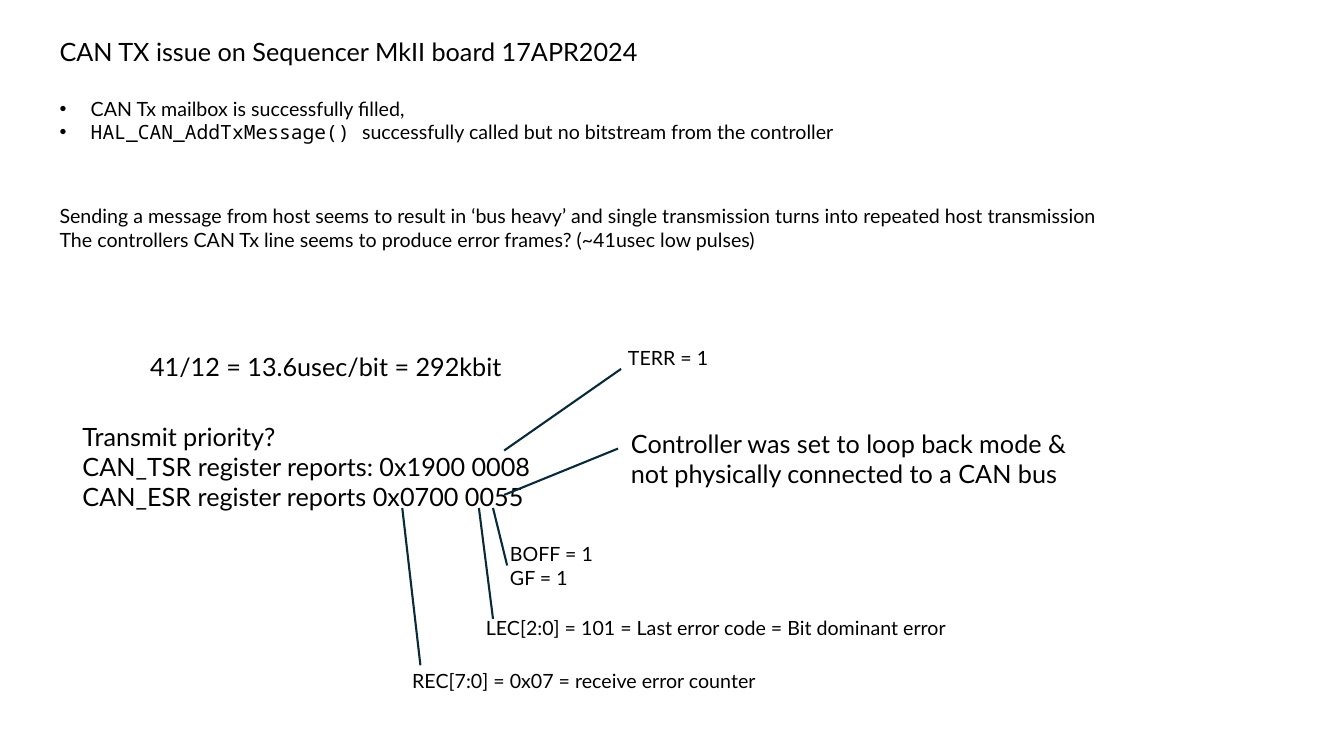
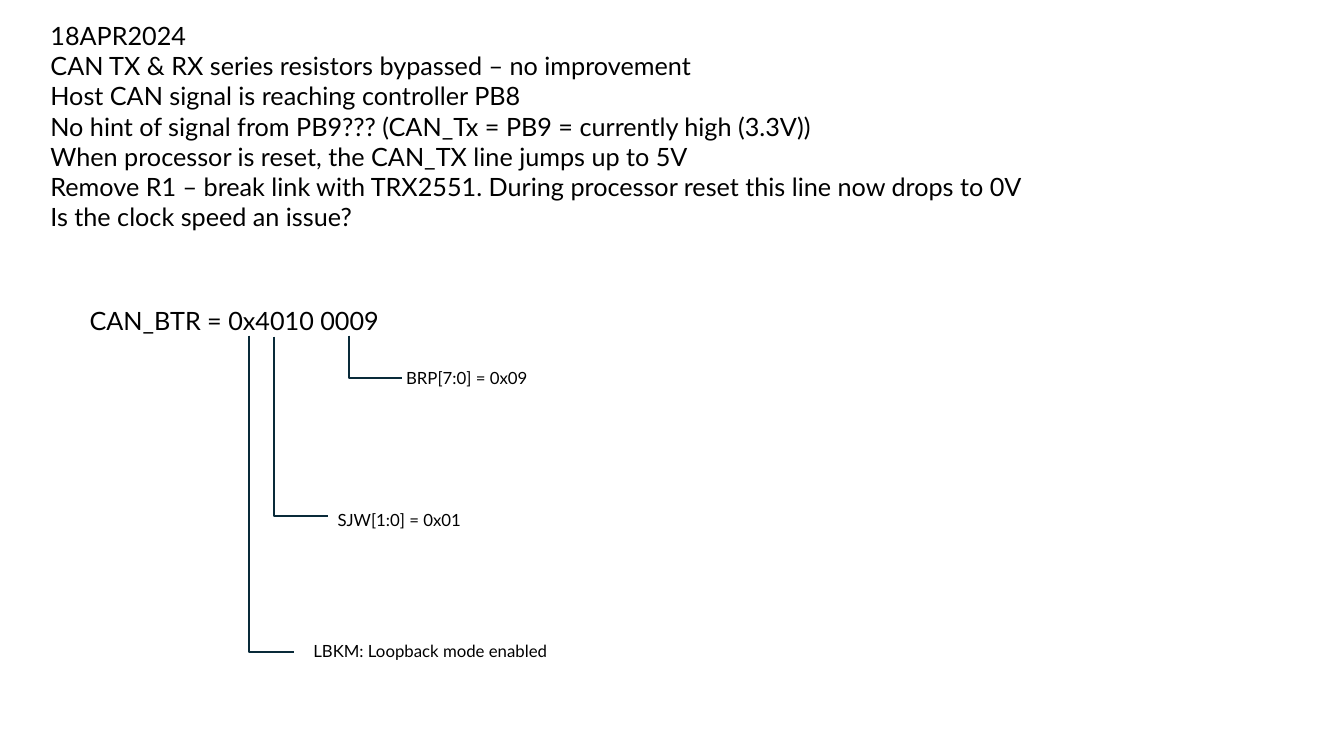
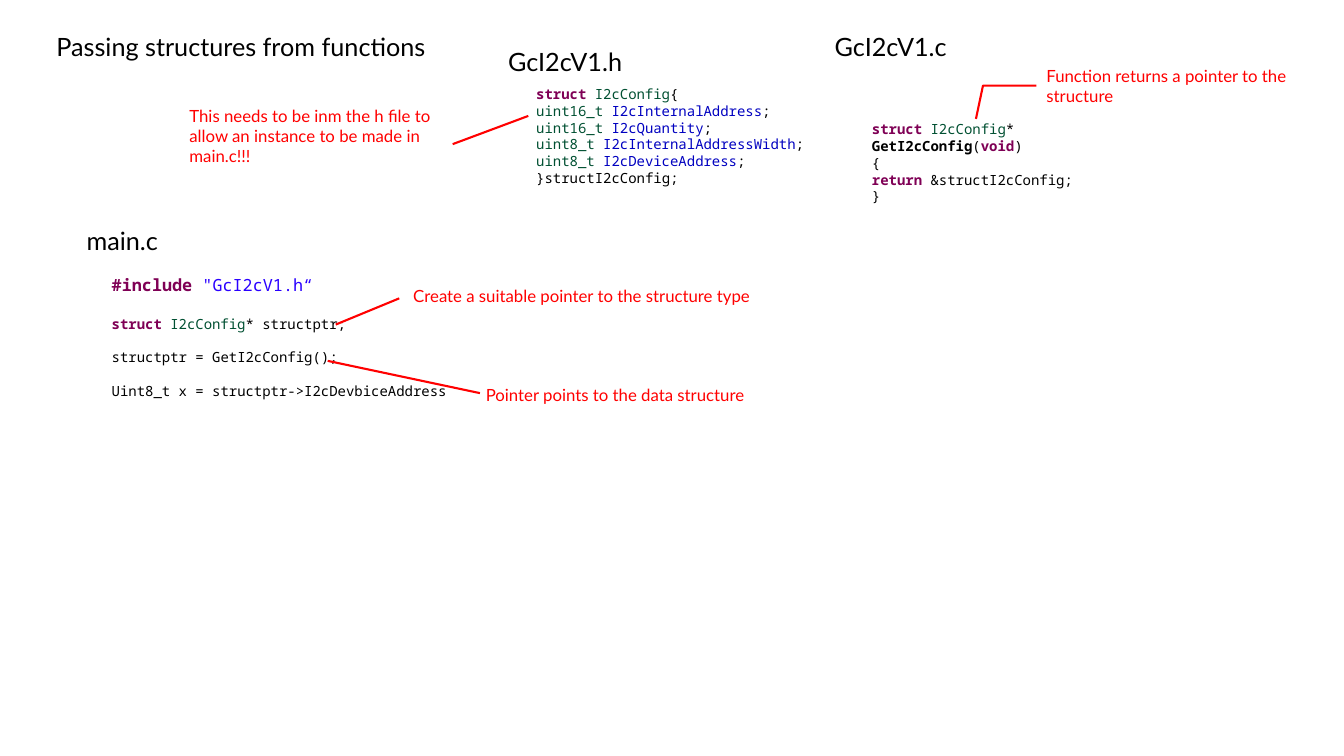
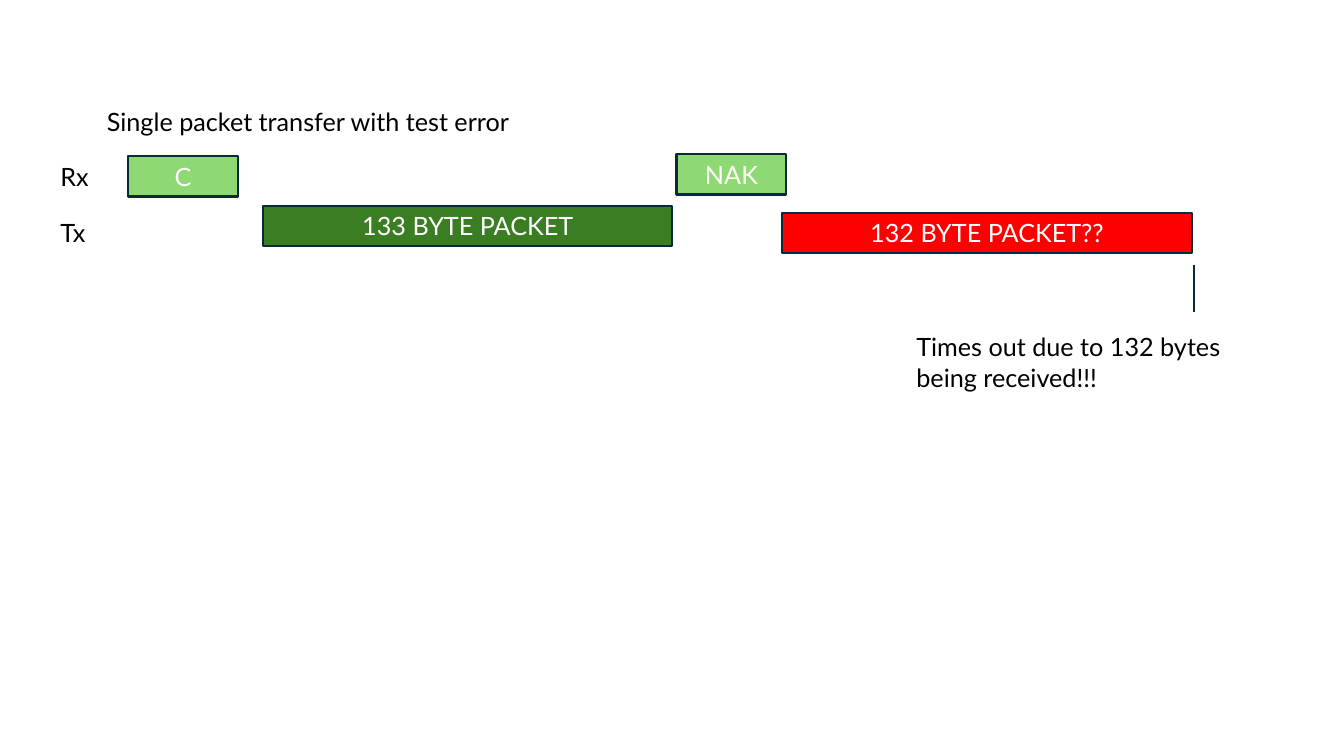
from lxml.etree import SubElement
from pptx import Presentation
from pptx.dml.color import RGBColor
from pptx.enum.shapes import MSO_CONNECTOR, MSO_SHAPE
from pptx.enum.text import MSO_ANCHOR, MSO_AUTO_SIZE, PP_ALIGN
from pptx.oxml.ns import qn
from pptx.util import Inches, Pt

BLACK, WHITE, RED, NAVY = "000000", "FFFFFF", "FF0000", "092A39"
LIGHT_GREEN, DARK_GREEN = "8ED973", "3B7D23"
KEYWORD, TYPE, FIELD, STRING = "7F0055", "005032", "0000C0", "2A00FF"
SANS, MONO = "Lato", "Noto Sans Mono"


def write(frame, lines, size, color=BLACK, font=SANS):
    frame.word_wrap = True
    frame.auto_size = MSO_AUTO_SIZE.NONE
    frame.vertical_anchor = MSO_ANCHOR.TOP
    for index, line in enumerate(lines):
        para = frame.add_paragraph() if index else frame.paragraphs[0]
        para.alignment = PP_ALIGN.LEFT
        para.space_before = Pt(0)
        if font == MONO:
            para.line_spacing = Pt(1.2 * size)
        spans = [(line, color, False)] if isinstance(line, str) else line
        for text, span_color, bold in spans:
            span = para.add_run()
            span.text = text
            span.font.name = font
            span.font.size = Pt(size)
            span.font.bold = bold
            span.font.color.rgb = RGBColor.from_string(span_color)


def draw_leader(slide, points, color=NAVY):
    corners = [(Inches(x), Inches(y)) for x, y in points]
    if len(corners) == 2:
        leader = slide.shapes.add_connector(MSO_CONNECTOR.STRAIGHT, *corners[0], *corners[1])
    else:
        builder = slide.shapes.build_freeform(*corners[0])
        builder.add_line_segments(corners[1:], close=False)
        leader = builder.convert_to_shape()
        leader.fill.background()
    leader.line.color.rgb = RGBColor.from_string(color)
    leader.line.width = Pt(1.5)
    SubElement(leader._element.spPr, qn("a:effectLst"))


deck = Presentation()
deck.slide_width, deck.slide_height = Inches(13.33), Inches(7.5)

titles = [
    ("CAN TX issue on Sequencer MkII board 17APR2024", 1, 0.49, 0.31, 11.49),
    ("18APR2024", 1, 0.4, 0.15, 10.88),
    ("Passing structures from functions", 5, 0.46, 0.26, 4.4),
    ("Single packet transfer with test error", 5, 0.96, 1, 5.86),
]
pages = []
for text, layout, left, top, width in titles:
    page = deck.slides.add_slide(deck.slide_layouts[layout])
    title = page.shapes.title
    title.left, title.top = Inches(left), Inches(top)
    title.width, title.height = Inches(width), Inches(0.4)
    write(title.text_frame, [text], 18)
    pages.append(page)
transmit_page, timing_page, structure_page, packet_page = pages

bodies = [
    (transmit_page, 0.49, 0.91, 11.49, 1.66, 14, 2, [
        "CAN Tx mailbox is successfully filled,",
        [("HAL_CAN_AddTxMessage() ", BLACK, False),
         ("successfully called but no bitstream from the controller", BLACK, False)],
        "Sending a message from host seems to result in ‘bus heavy’ and single transmission turns into repeated host transmission",
        "The controllers CAN Tx line seems to produce error frames? (~41usec low pulses)",
    ]),
    (timing_page, 0.4, 0.45, 10.88, 1.92, 18, 0, [
        "CAN TX & RX series resistors bypassed – no improvement",
        "Host CAN signal is reaching controller PB8",
        "No hint of signal from PB9??? (CAN_Tx = PB9 = currently high (3.3V))",
        "When processor is reset, the CAN_TX line jumps up to 5V",
        "Remove R1 – break link with TRX2551. During processor reset this line now drops to 0V",
        "Is the clock speed an issue?",
    ]),
]
for page, left, top, width, height, size, bullets, lines in bodies:
    body = page.placeholders[1]
    body.left, body.top = Inches(left), Inches(top)
    body.width, body.height = Inches(width), Inches(height)
    write(body.text_frame, lines, size)
    for index, para in enumerate(body.text_frame.paragraphs):
        properties = para._p.get_or_add_pPr()
        indent = Inches(0.31) if index < bullets else 0
        properties.set("marL", str(indent))
        properties.set("indent", str(-indent))
        if index >= bullets:
            SubElement(properties, qn("a:buNone"))

call_para, report_para = transmit_page.placeholders[1].text_frame.paragraphs[1:3]
call_para.line_spacing = Pt(16.8)
call_para.runs[0].font.name = MONO
report_para.space_before = Pt(43.2)

labels = [
    (transmit_page, 1.39, 3.44, 5.2, 0.4, 18, BLACK, ["41/12 = 13.6usec/bit = 292kbit"]),
    (transmit_page, 0.72, 4.13, 4.84, 1.01, 18, BLACK, [
        "Transmit priority?",
        "CAN_TSR register reports: 0x1900 0008",
        "CAN_ESR register reports 0x0700 0055"]),
    (transmit_page, 4.72, 6.06, 4.84, 0.34, 14, BLACK,
     ["LEC[2:0] = 101 = Last error code = Bit dominant error"]),
    (transmit_page, 4.96, 5.33, 2.67, 0.57, 14, BLACK, ["BOFF = 1", "GF = 1"]),
    (transmit_page, 3.99, 6.59, 4.84, 0.34, 14, BLACK, ["REC[7:0] = 0x07 = receive error counter"]),
    (transmit_page, 6.16, 4.2, 4.67, 0.71, 18, BLACK,
     ["Controller was set to loop back mode & not physically connected to a CAN bus"]),
    (transmit_page, 6.13, 3.38, 2.67, 0.34, 14, BLACK, ["TERR = 1"]),
    (timing_page, 0.79, 2.98, 5.56, 0.4, 18, BLACK, ["CAN_BTR = 0x4010 0009"]),
    (timing_page, 3.01, 6.31, 4.07, 0.3, 12, BLACK, ["LBKM: Loopback mode enabled"]),
    (timing_page, 3.25, 5.01, 4.07, 0.3, 12, BLACK, ["SJW[1:0] = 0x01"]),
    (timing_page, 3.93, 3.6, 4.07, 0.3, 12, BLACK, ["BRP[7:0] = 0x09"]),
    (structure_page, 4.94, 0.41, 1.75, 0.4, 18, BLACK, ["GcI2cV1.h"]),
    (structure_page, 8.18, 0.26, 1.75, 0.4, 18, BLACK, ["GcI2cV1.c"]),
    (structure_page, 0.76, 2.19, 1.75, 0.4, 18, BLACK, ["main.c"]),
    (structure_page, 10.28, 0.6, 2.71, 0.5, 12, RED, ["Function returns a pointer to the structure"]),
    (structure_page, 4, 2.79, 3.68, 0.3, 12, RED, ["Create a suitable pointer to the structure type"]),
    (structure_page, 4.72, 3.77, 3.68, 0.3, 12, RED, ["Pointer points to the data structure"]),
    (structure_page, 1.78, 1, 2.98, 0.5, 12, RED,
     ["This needs to be inm the h file to allow an instance to be made in main.c!!!"]),
    (packet_page, 0.5, 1.55, 0.77, 0.4, 18, BLACK, ["Rx"]),
    (packet_page, 0.5, 2.11, 0.77, 0.4, 18, BLACK, ["Tx"]),
    (packet_page, 8.99, 3.24, 3.41, 0.71, 18, BLACK, ["Times out due to 132 bytes being received!!!"]),
]
for page, left, top, width, height, size, color, lines in labels:
    box = page.shapes.add_textbox(Inches(left), Inches(top), Inches(width), Inches(height))
    write(box.text_frame, lines, size, color)

struct_start = [("struct", KEYWORD, True), (" ", BLACK, False), ("I2cConfig", TYPE, False)]
members = [
    ("uint16_t", "I2cInternalAddress"),
    ("uint16_t", "I2cQuantity"),
    ("uint8_t", "I2cInternalAddressWidth"),
    ("uint8_t", "I2cDeviceAddress"),
]
header_code = [struct_start + [("{", BLACK, False)]]
for kind, name in members:
    header_code.append([(kind, TYPE, False), (" ", BLACK, False), (name, FIELD, False), (";", BLACK, False)])
header_code.append("}structI2cConfig;")
source_code = [
    struct_start + [("* ", BLACK, False), ("GetI2cConfig", BLACK, True), ("(", BLACK, False),
                    ("void", KEYWORD, True), (")", BLACK, False)],
    "{",
    [("return", KEYWORD, True), (" &structI2cConfig;", BLACK, False)],
    "}",
]
main_code = [
    [("#include", KEYWORD, True), (" ", BLACK, False), ("\"GcI2cV1.h“", STRING, False)],
    struct_start + [("* structptr;", BLACK, False)],
    "structptr = GetI2cConfig();",
    "Uint8_t x = structptr->I2cDevbiceAddress",
]
listings = [
    (5.22, 0.8, 3.2, 1.11, header_code),
    (8.55, 1.15, 2.98, 0.77, source_code),
    (1.01, 2.68, 4.8, 1.35, main_code),
]
for left, top, width, height, lines in listings:
    box = structure_page.shapes.add_textbox(Inches(left), Inches(top), Inches(width), Inches(height))
    write(box.text_frame, lines, 10, BLACK, MONO)

include_para, *statement_paras = box.text_frame.paragraphs
include_para.line_spacing = Pt(14.4)
for span in include_para.runs:
    span.font.size = Pt(12)
for para, gap in zip(statement_paras, (14.4, 12, 12)):
    para.space_before = Pt(gap)

packets = [
    ("C", 1.27, 1.55, 1.09, LIGHT_GREEN),
    ("133 BYTE PACKET", 2.61, 2.04, 4.06, DARK_GREEN),
    ("NAK", 6.71, 1.53, 1.09, LIGHT_GREEN),
    ("132 BYTE PACKET??", 7.76, 2.11, 4.06, RED),
]
for text, left, top, width, color in packets:
    packet = packet_page.shapes.add_shape(
        MSO_SHAPE.RECTANGLE, Inches(left), Inches(top), Inches(width), Inches(0.4))
    packet.shadow.inherit = False
    packet.fill.solid()
    packet.fill.fore_color.rgb = RGBColor.from_string(color)
    packet.line.color.rgb = RGBColor.from_string(NAVY)
    packet.line.width = Pt(1.5)
    write(packet.text_frame, [text], 18, WHITE)
    packet.text_frame.vertical_anchor = MSO_ANCHOR.MIDDLE
    packet.text_frame.paragraphs[0].alignment = PP_ALIGN.CENTER

leaders = [
    (transmit_page, NAVY, [(4.89, 5.04), (5.03, 5.61)]),
    (transmit_page, NAVY, [(4.75, 5.04), (4.89, 6.14)]),
    (transmit_page, NAVY, [(3.99, 5.04), (4.17, 6.6)]),
    (transmit_page, NAVY, [(5, 4.91), (6.13, 4.45)]),
    (transmit_page, NAVY, [(5, 4.47), (6.16, 3.66)]),
    (timing_page, NAVY, [(2.47, 3.33), (2.47, 6.47), (2.92, 6.47)]),
    (timing_page, NAVY, [(2.72, 3.34), (2.72, 5.12), (3.25, 5.12)]),
    (timing_page, NAVY, [(3.46, 3.33), (3.46, 3.75), (3.99, 3.75)]),
    (structure_page, RED, [(9.68, 1.18), (9.75, 0.85), (10.28, 0.85)]),
    (structure_page, RED, [(3.33, 3.22), (3.96, 2.96)]),
    (structure_page, RED, [(3.25, 3.58), (4.76, 3.9)]),
    (structure_page, RED, [(5.24, 1.15), (4.49, 1.43)]),
    (packet_page, NAVY, [(11.84, 2.63), (11.84, 3.1)]),
]
for page, color, points in leaders:
    draw_leader(page, points, color)

deck.save("out.pptx")
